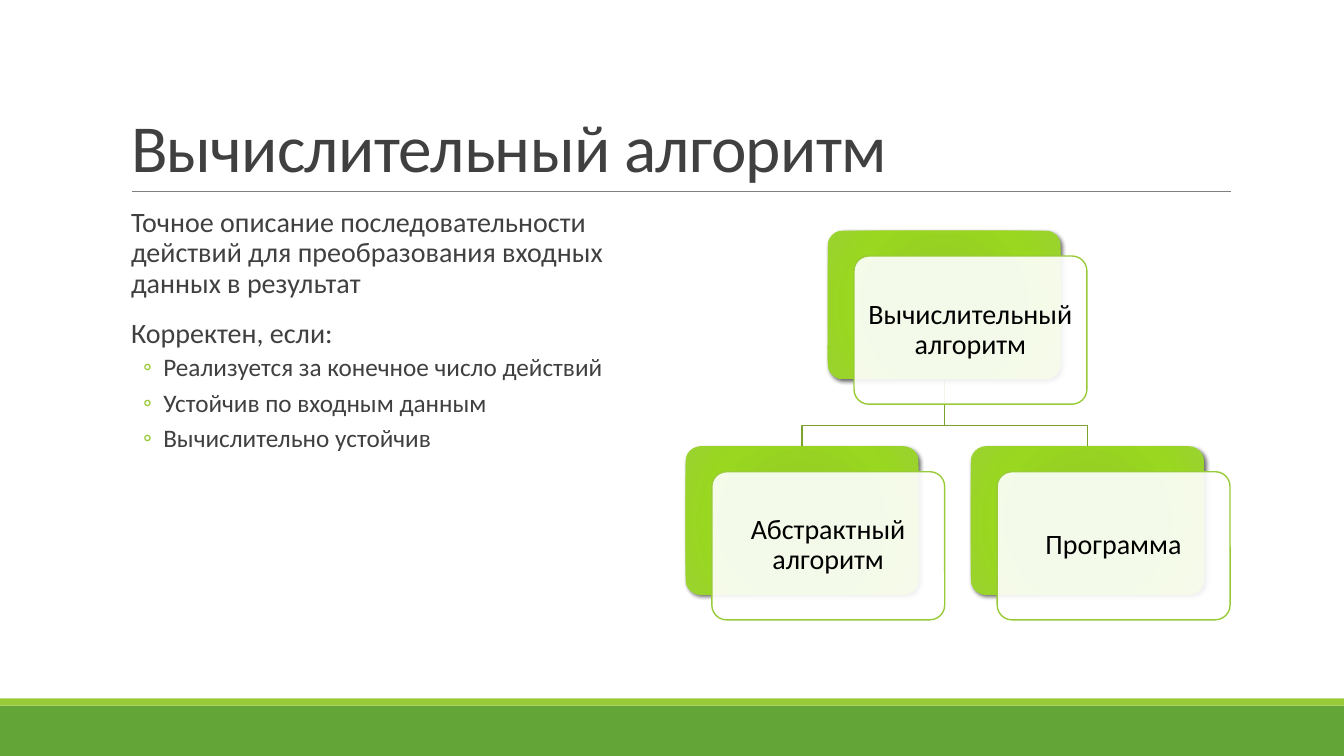
import lxml.etree
import pptx
import pptx.dml.color
import pptx.enum.shapes
import pptx.enum.text
import pptx.oxml
import pptx.oxml.ns
import pptx.util

Inches, Pt = pptx.util.Inches, pptx.util.Pt
RGBColor = pptx.dml.color.RGBColor
SHAPE = pptx.enum.shapes.MSO_SHAPE
ANCHOR = pptx.enum.text.MSO_ANCHOR
qn = pptx.oxml.ns.qn

GREEN = RGBColor(0x63, 0xA5, 0x37)
LIME = RGBColor(0x99, 0xCB, 0x38)
BRANCH = RGBColor(0x7B, 0xA3, 0x2D)
GRAY = RGBColor(0x80, 0x80, 0x80)
DARK = RGBColor(0x40, 0x40, 0x40)
BLACK = RGBColor(0, 0, 0)
WHITE = RGBColor(0xFF, 0xFF, 0xFF)
GRADIENT = [(0, "95D220"), (34, "96D023"), (70, "99D720"), (100, "9BD231")]


def add_box(kind, x, y, w, h, color):
    sp = s.shapes.add_shape(kind, Inches(x), Inches(y), Inches(w), Inches(h))
    sp.shadow.inherit = False
    sp.fill.solid()
    sp.fill.fore_color.rgb = color
    sp.line.fill.background()
    return sp


def add_run(p, text, size, color):
    r = p.add_run()
    r.text = text
    r.font.name = "Calibri"
    r.font.size = Pt(size)
    r.font.color.rgb = color
    return r


prs = pptx.Presentation()
prs.slide_width, prs.slide_height = Inches(13.33), Inches(7.5)
s = prs.slides.add_slide(prs.slide_layouts[5])

# Footer bands and rule under the title
add_box(SHAPE.RECTANGLE, 0, 7, 13.33, 0.5, GREEN)
add_box(SHAPE.RECTANGLE, 0, 6.93, 13.33, 0.07, LIME)
rule = s.shapes.add_connector(pptx.enum.shapes.MSO_CONNECTOR.STRAIGHT,
                              Inches(1.31), Inches(1.9), Inches(12.21), Inches(1.9))
rule.line.color.rgb = GRAY
rule.line.width = Pt(0.5)
lxml.etree.SubElement(rule._element.spPr, qn("a:effectLst"))

# Title
title = s.shapes.title
title.left, title.top = Inches(1.2), Inches(0.31)
title.width, title.height = Inches(11), Inches(1.59)
tf = title.text_frame
tf.auto_size = pptx.enum.text.MSO_AUTO_SIZE.NONE
tf.vertical_anchor = ANCHOR.BOTTOM
p = tf.paragraphs[0]
p.alignment = pptx.enum.text.PP_ALIGN.LEFT
p.line_spacing = 0.85
r = add_run(p, "Вычислительный алгоритм", 48, DARK)
r.font._element.set("spc", "-50")

# Definition and correctness conditions
body = [
    (0, "Точное описание последовательности действий для преобразования входных данных в результат"),
    (0, "Корректен, если:"),
    (1, "Реализуется за конечное число действий"),
    (1, "Устойчив по входным данным"),
    (1, "Вычислительно устойчив"),
]
tf = s.shapes.add_textbox(Inches(1.2), Inches(2.02), Inches(5.4), Inches(4.4)).text_frame
tf.word_wrap = True
tf.margin_left = tf.margin_right = 0
for i, (level, text) in enumerate(body):
    p = tf.paragraphs[0] if i == 0 else tf.add_paragraph()
    p.level = level
    p.line_spacing = 0.9
    p.space_before, p.space_after = (Pt(2), Pt(4)) if level else (Pt(12), Pt(2))
    pPr = p._p.get_or_add_pPr()
    pPr.set("marL", str(Inches(0.42 if level else 0.1)))
    pPr.set("indent", str(Inches(-0.2 if level else 0)))
    if level:
        color = lxml.etree.SubElement(pPr, qn("a:buClr"))
        lxml.etree.SubElement(color, qn("a:srgbClr"), val=str(LIME))
        lxml.etree.SubElement(pPr, qn("a:buFont"), typeface="Calibri")
        lxml.etree.SubElement(pPr, qn("a:buChar"), char="◦")
    add_run(p, text, 18 if level else 20, DARK)

# Hierarchy: the root card, then its children
CARD_W, CARD_H = 2.31, 1.47
SHIFT_X, SHIFT_Y = 0.26, 0.25
cards = [
    (8.21, 2.29, "Вычислительный алгоритм"),
    (6.8, 4.43, "Абстрактный алгоритм"),
    (9.63, 4.43, "Программа"),
]

# Branches from the root to each child
root_x, root_y = cards[0][0] + CARD_W / 2, cards[0][1] + CARD_H
for x, y, text in cards[1:]:
    child_x = x + CARD_W / 2
    fb = s.shapes.build_freeform(Inches(root_x), Inches(root_y))
    fb.add_line_segments([(Inches(root_x), Inches(y - 0.21)),
                          (Inches(child_x), Inches(y - 0.21)),
                          (Inches(child_x), Inches(y))], close=False)
    sp = fb.convert_to_shape()
    sp.shadow.inherit = False
    sp.fill.background()
    sp.line.color.rgb = BRANCH
    sp.line.width = Pt(1)

for x, y, text in cards:
    # Green back plate with a radial gradient and a shadow
    back = add_box(SHAPE.ROUNDED_RECTANGLE, x, y, CARD_W, CARD_H, LIME)
    back.adjustments[0] = 0.1
    back.fill.gradient()
    grad = back._element.spPr.find(qn("a:gradFill"))
    for child in list(grad):
        grad.remove(child)
    stops = lxml.etree.SubElement(grad, qn("a:gsLst"))
    for pos, color in GRADIENT:
        stop = lxml.etree.SubElement(stops, qn("a:gs"), pos=str(pos * 1000))
        lxml.etree.SubElement(stop, qn("a:srgbClr"), val=color)
    radial = lxml.etree.SubElement(grad, qn("a:path"), path="circle")
    lxml.etree.SubElement(radial, qn("a:fillToRect"),
                          l="100000", t="100000", r="100000", b="100000")
    effects = back._element.spPr.find(qn("a:effectLst"))
    shadow = lxml.etree.SubElement(effects, qn("a:outerShdw"), blurRad=str(Pt(3)),
                                   dist=str(Pt(2)), dir="2700000", rotWithShape="0")
    color = lxml.etree.SubElement(shadow, qn("a:srgbClr"), val=str(BLACK))
    lxml.etree.SubElement(color, qn("a:alpha"), val="60000")

    # Translucent front plate with the label
    front = add_box(SHAPE.ROUNDED_RECTANGLE, x + SHIFT_X, y + SHIFT_Y, CARD_W, CARD_H, WHITE)
    front.adjustments[0] = 0.1
    color = front._element.spPr.find(qn("a:solidFill")).find(qn("a:srgbClr"))
    lxml.etree.SubElement(color, qn("a:alpha"), val="90000")
    front.line.color.rgb = LIME
    front.line.width = Pt(1)
    tf = front.text_frame
    tf.word_wrap = True
    tf.vertical_anchor = ANCHOR.MIDDLE
    tf.margin_left = tf.margin_right = tf.margin_top = tf.margin_bottom = Inches(0.08)
    p = tf.paragraphs[0]
    p.alignment = pptx.enum.text.PP_ALIGN.CENTER
    p.line_spacing = 0.9
    add_run(p, text, 20, BLACK)

prs.save("out.pptx")
